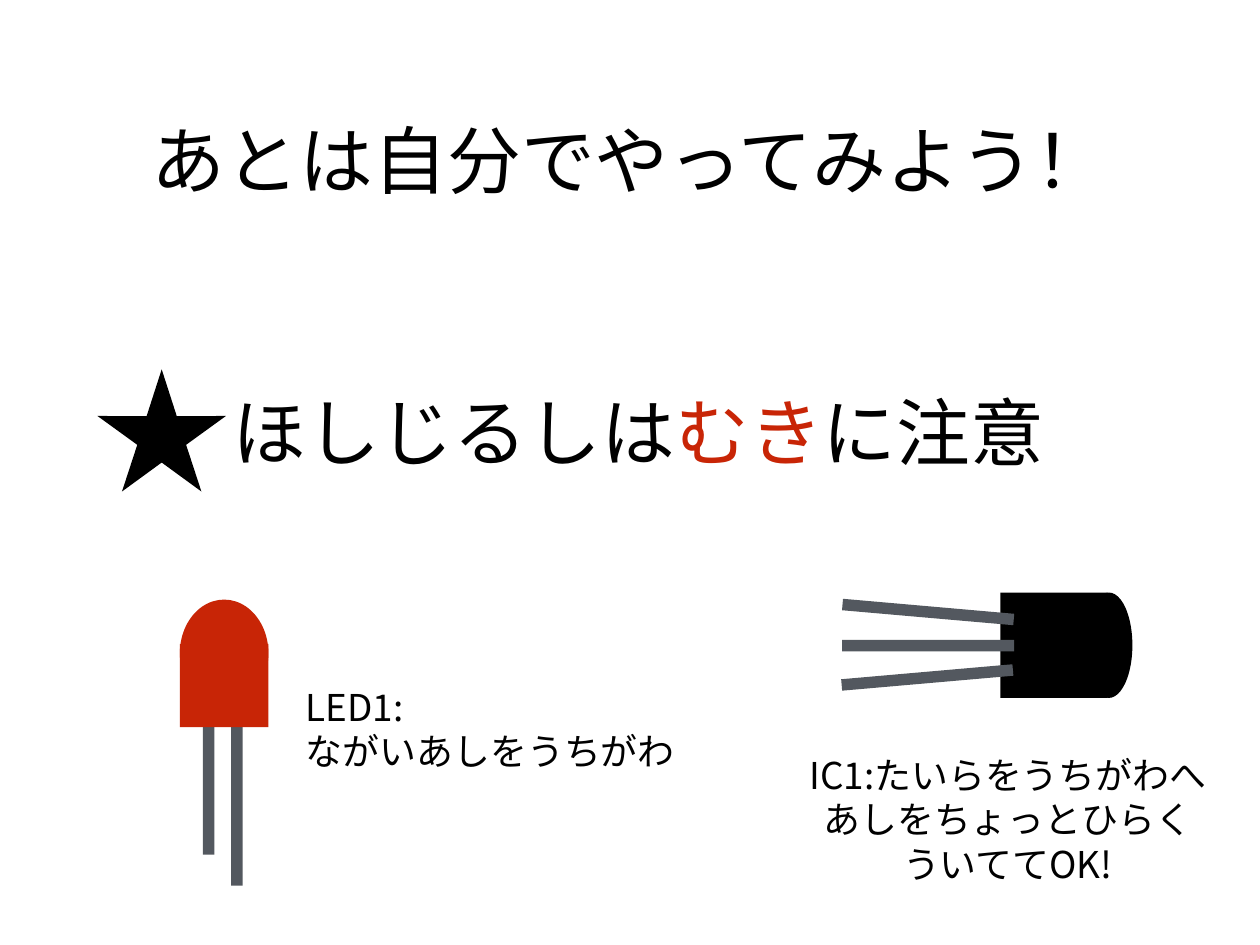
"""Build the slide on which way round the starred parts go."""
from dataclasses import dataclass

from lxml.etree import SubElement
from pptx import Presentation
from pptx.dml.color import RGBColor as Rgb
from pptx.enum.shapes import MSO_SHAPE as Kind
from pptx.enum.text import MSO_ANCHOR as Anchor, MSO_AUTO_SIZE as Fit, PP_ALIGN as Align
from pptx.oxml.ns import qn
from pptx.util import Inches, Pt


@dataclass(frozen=True)
class Theme:
    font: str = "Noto Sans CJK JP"
    black: str = "000000"
    red: str = "C82506"
    gray: str = "53585F"
    big: int = 60
    small: int = 30
    inset: float = 0.06
    pitch: float = 1.2


@dataclass(frozen=True)
class Box:
    left: float
    top: float
    width: float
    height: float

    def spans(self) -> tuple:
        return tuple(Inches(v) for v in (self.left, self.top, self.width, self.height))


@dataclass(frozen=True)
class Part:
    kind: Kind
    box: Box
    color: str
    turn: int = 0


@dataclass(frozen=True)
class Run:
    text: str
    color: str = Theme.black


@dataclass(frozen=True)
class Note:
    box: Box
    size: int
    align: Align
    lines: tuple


LOOK = Theme()
STAR = Part(Kind.STAR_5_POINT, Box(1.1, 4.17, 1.45, 1.38), LOOK.black)
CHIP = (
    Part(Kind.RECTANGLE, Box(11.3, 6.68, 1.19, 1.21), LOOK.black, 90),
    *(Part(Kind.RECTANGLE, Box(left, top, 0.13, 1.94), LOOK.gray, turn)
      for left, top, turn in ((10.41, 5.94, 275), (10.41, 6.32, 90), (10.4, 6.68, 85))),
    Part(Kind.OVAL, Box(11.92, 7.02, 1.19, 0.53), LOOK.black, 90),
)
LED = (
    *(Part(Kind.RECTANGLE, Box(left, top, 0.13, 1.94), LOOK.gray)
      for left, top in ((2.61, 8.06), (2.29, 7.71))),
    Part(Kind.OVAL, Box(2.03, 6.77, 1, 1.21), LOOK.red),
    Part(Kind.RECTANGLE, Box(2.03, 7.27, 1, 0.94), LOOK.red),
)
TITLE = Note(Box(1.04, 3.3, 12.14, 3.13), LOOK.big, Align.CENTER,
             ((Run(" ほしじるしは"), Run("むき", LOOK.red), Run("に注意")),))
NOTES = (
    Note(Box(1.63, 1.32, 10.96, 0.94), LOOK.big, Align.CENTER,
         ((Run("あとは自分でやってみよう！"),),)),
    Note(Box(8.83, 8.36, 5.09, 1.78), LOOK.small, Align.CENTER,
         ((Run("IC1:たいらをうちがわへ"),), (Run("あしをちょっとひらく"),),
          (Run("ういててOK!"),))),
    Note(Box(3.39, 7.65, 4.29, 1.15), LOOK.small, Align.LEFT,
         ((Run("LED1:"),), (Run("ながいあしをうちがわ"),))),
)


def draw(shapes, part: Part) -> None:
    shape = shapes.add_shape(part.kind, *part.box.spans())
    shape.shadow.inherit = False
    shape.fill.solid()
    shape.fill.fore_color.rgb = Rgb.from_string(part.color)
    shape.line.fill.background()
    shape.rotation = part.turn
    if part.kind == Kind.STAR_5_POINT:
        shape.adjustments[0] = 0.38 / 2


def write(shape, note: Note, wrap: bool) -> None:
    shape.left, shape.top, shape.width, shape.height = note.box.spans()
    frame = shape.text_frame
    frame.auto_size = Fit.NONE
    frame.word_wrap = wrap
    frame.vertical_anchor = Anchor.MIDDLE
    frame.margin_left = frame.margin_right = Inches(LOOK.inset)
    frame.margin_top = frame.margin_bottom = Inches(LOOK.inset)
    for place, line in enumerate(note.lines):
        para = frame.add_paragraph() if place else frame.paragraphs[0]
        para.alignment = note.align
        para.line_spacing = Pt(note.size * LOOK.pitch)
        for item in line:
            run = para.add_run()
            run.text = item.text
            font = run.font
            font.size = Pt(note.size)
            font.color.rgb = Rgb.from_string(item.color)
            font.name = LOOK.font
            SubElement(run._r.get_or_add_rPr(), qn("a:ea"), typeface=LOOK.font)


def main() -> None:
    deck = Presentation()
    deck.slide_width, deck.slide_height = Inches(14.22), Inches(10.67)
    slide = deck.slides.add_slide(deck.slide_layouts[5])
    write(slide.shapes.title, TITLE, True)
    draw(slide.shapes, STAR)
    for parts in (CHIP, LED):
        group = slide.shapes.add_group_shape()
        for part in parts:
            draw(group.shapes, part)
    for note in NOTES:
        write(slide.shapes.add_textbox(*note.box.spans()), note, False)
    deck.save("out.pptx")


if __name__ == "__main__":
    main()
